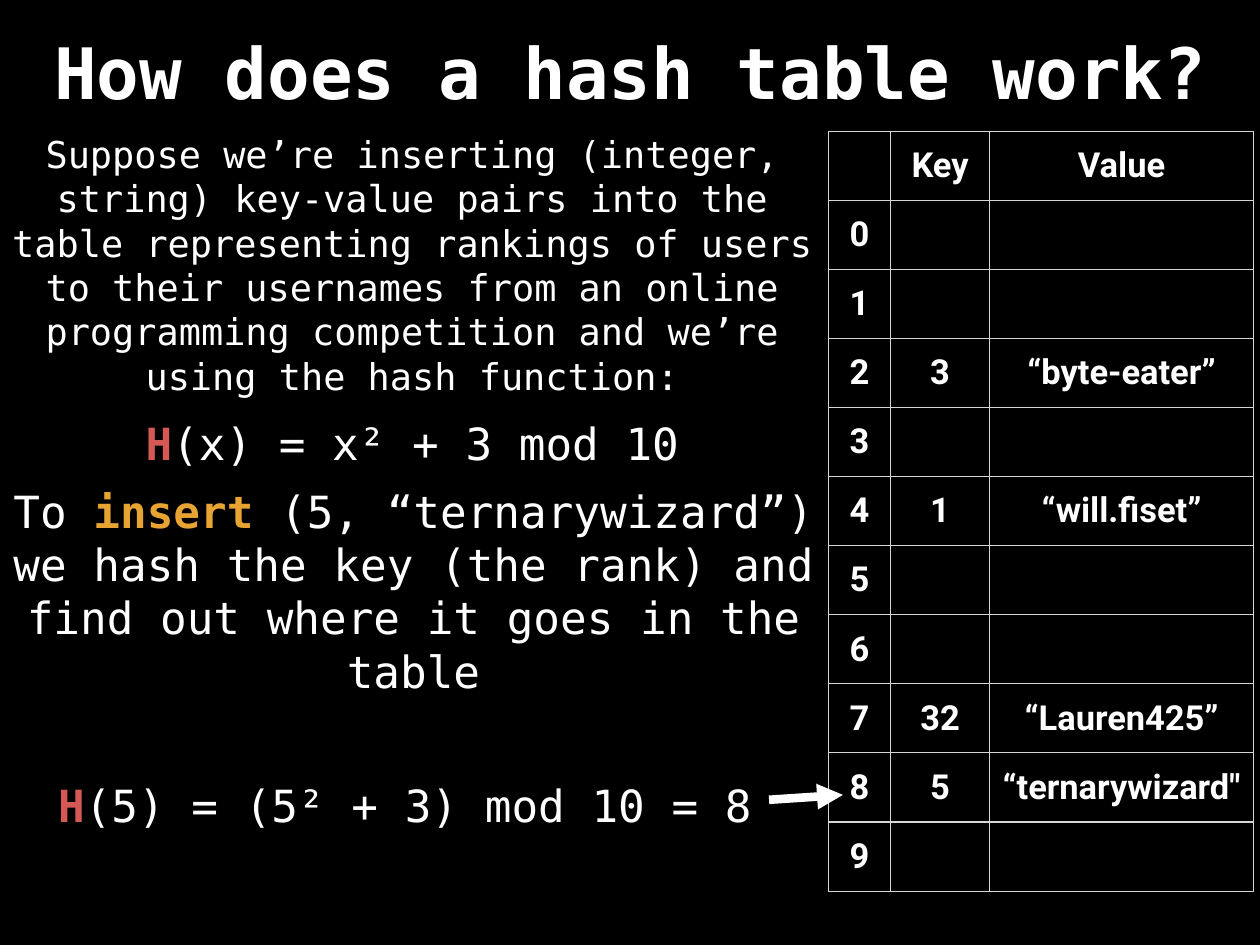
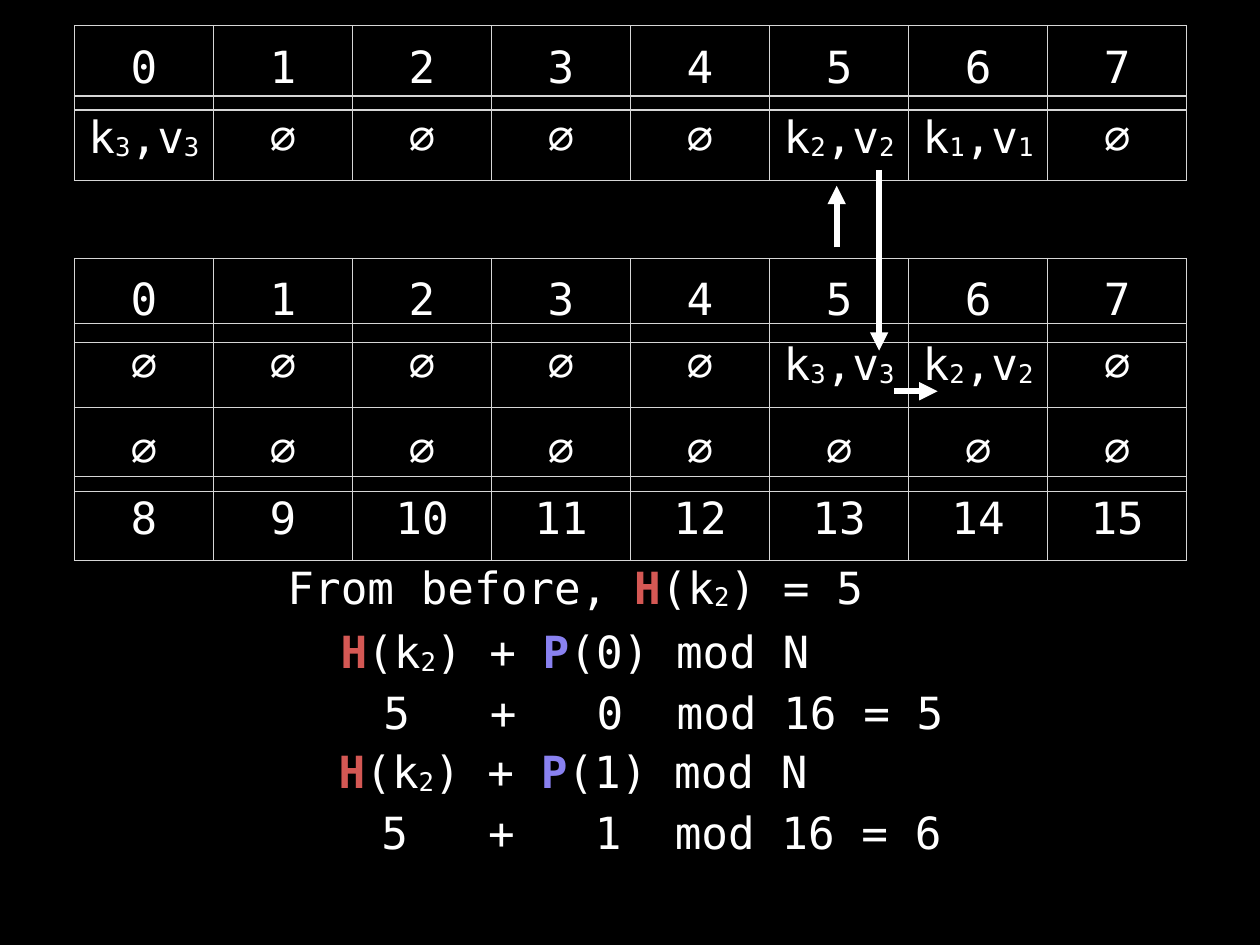
from lxml.etree import SubElement
from pptx import Presentation
from pptx.dml.color import RGBColor
from pptx.enum.shapes import MSO_CONNECTOR as Link
from pptx.enum.text import MSO_ANCHOR as Anchor, PP_ALIGN as Align
from pptx.oxml import parse_xml
from pptx.oxml.ns import nsdecls, qn
from pptx.util import Pt

MONO, SANS = "DejaVu Sans Mono", "Roboto"
BLACK, WHITE, GRID = "000000", "FFFFFF", "D6D6D6"
RED, GOLD, VIOLET = "D45854", "E8A432", "8981F0"
INSET = Pt(4)
SIZE = 36
LINE = 49  # height of a one-line box
CHAR = 21.67  # advance of one mono letter at SIZE
HASH, PROBE = ("H", RED), ("P", VIOLET)
NIL = "∅"


def paint(color, value):
    color.rgb = RGBColor.from_string(value)


def sub(text):
    return text, "sub"


def pair(index):
    return ["k", sub(index), ",v", sub(index)]


def write(par, parts, size=SIZE, face=MONO, bold=False, align=Align.CENTER):
    """Fill a paragraph; a part is text or (text, accent colour or "sub")."""
    par.alignment = align
    font = par.font
    font.size, font.name, font.bold = Pt(size), face, bold
    paint(font.color, WHITE)
    for part in [parts] if isinstance(parts, str) else parts:
        text, mark = (part, None) if isinstance(part, str) else part
        run = par.add_run()
        run.text = text
        if mark == "sub":
            run.font._element.set("baseline", "-6000")
        elif mark:
            run.font.bold = True
            paint(run.font.color, mark)


def label(slide, box, parts, wrap=False, stops=(), anchor=Anchor.MIDDLE, **style):
    frame = slide.shapes.add_textbox(*map(Pt, box)).text_frame
    frame.margin_left = frame.margin_right = INSET
    frame.margin_top = frame.margin_bottom = INSET
    frame.word_wrap, frame.vertical_anchor = wrap, anchor
    par = frame.paragraphs[0]
    if stops:
        tabs = SubElement(par._p.get_or_add_pPr(), qn("a:tabLst"))
        for stop in stops:
            SubElement(tabs, qn("a:tab"), pos=str(Pt(stop)), algn="l")
    write(par, parts, **style)


def arrow(slide, *ends, width=5):
    link = slide.shapes.add_connector(Link.STRAIGHT, *map(Pt, ends))
    link.line.width = Pt(width)
    paint(link.line.color, WHITE)
    SubElement(link.line._get_or_add_ln(), qn("a:tailEnd"), type="triangle")
    SubElement(link._element.spPr, qn("a:effectLst"))


def border(cell):
    props = cell._tc.get_or_add_tcPr()
    for spot, side in enumerate("LRTB"):
        props.insert(spot, parse_xml(
            f'<a:ln{side} {nsdecls("a")} w="{Pt(1)}"><a:solidFill>'
            f'<a:srgbClr val="{GRID}"/></a:solidFill></a:ln{side}>'))


def grid(slide, left, top, widths, height, rows, **style):
    box = map(Pt, (left, top, sum(widths), height * len(rows)))
    table = slide.shapes.add_table(len(rows), len(widths), *box).table
    table.first_row = table.horz_banding = False
    for col, width in zip(table.columns, widths):
        col.width = Pt(width)
    for line, row in zip(table.rows, rows):
        line.height = Pt(height)
        for cell, parts in zip(line.cells, row):
            cell.fill.background()
            border(cell)
            cell.margin_left = cell.margin_right = INSET
            cell.margin_top = cell.margin_bottom = INSET
            cell.vertical_anchor = Anchor.MIDDLE
            if parts:
                write(cell.text_frame.paragraphs[0], parts, **style)


def ranks(slide, left, top):
    """Table of ten hash slots with their keys and user names."""
    users = {2: ("3", "“byte-eater”"), 4: ("1", "“will.fiset”"),
             7: ("32", "“Lauren425”"), 8: ("5", "“ternarywizard\"")}
    rows = [("", "Key", "Value")]
    rows += [(str(slot), *users.get(slot, ("", ""))) for slot in range(10)]
    grid(slide, left, top, (51, 80, 215), 56.16, rows,
         size=28, face=SANS, bold=True)


def story(slide, left, top, width):
    """Column of text that explains the insertion."""
    label(slide, (left, top, width, 218),
          "Suppose we’re inserting (integer, string) key-value pairs into the "
          "table representing rankings of users to their usernames from an "
          "online programming competition and we’re using the hash function:",
          wrap=True, size=30)
    label(slide, (left, top + 229, width, LINE), [HASH, "(x) = x² + 3 mod 10"])
    label(slide, (left - 6, top + 288, width + 14, 172),
          ["To ", ("insert", GOLD), " (5, “ternarywizard”) we hash the key "
           "(the rank) and find out where it goes in the table"], wrap=True)
    label(slide, (left, top + 523.5, width - 12, LINE),
          [HASH, "(5) = (5² + 3) mod 10 = 8"])


def strip(slide, left, top, cells):
    grid(slide, left, top, [113] * 8, 68.4, [cells])


def slots(slide, left, top):
    """Old table above, the doubled table below, and the moves between."""
    def count(start):
        return [str(n) for n in range(start, start + 8)]

    strip(slide, left, top + 57, [pair("3"), *[NIL] * 4, pair("2"), pair("1"), NIL])
    strip(slide, left, top, count(0))
    strip(slide, left, top + 242, [*[NIL] * 5, pair("3"), pair("2"), NIL])
    strip(slide, left, top + 310.4, [NIL] * 8)
    strip(slide, left, top + 189, count(0))
    strip(slide, left, top + 366.5, count(8))
    for ends in ((619.5, 180, 619.5, 130), (654, 117, 654, 264), (666, 297, 701.5, 297)):
        x1, y1, x2, y2 = ends
        arrow(slide, left + x1, top + y1, left + x2, top + y2)


def probes(slide, left, top):
    """Worked sums for the first two probes."""
    label(slide, (left, top, 479, LINE),
          ["From before, ", HASH, "(k", sub("2"), ") = 5"])
    for step in range(2):
        x, y = left + 43.5 - 1.5 * step, top + 52.5 + 97.5 * step
        label(slide, (x, y, 391.5, LINE),
              [HASH, "(k", sub("2"), ") + ", PROBE, f"({step}) mod N"])
        label(slide, (x + 36, y + 48.5, 480, LINE),
              f"5\t+\t{step}\tmod 16 = {5 + step}", wrap=True,
              stops=[CHAR * n for n in (4, 8, 11)],
              anchor=Anchor.TOP, align=Align.LEFT)


def page(deck):
    slide = deck.slides.add_slide(deck.slide_layouts[6])
    fill = slide.background.fill
    fill.solid()
    paint(fill.fore_color, BLACK)
    return slide


def main():
    deck = Presentation()
    deck.slide_width, deck.slide_height = Pt(1024), Pt(768)

    intro = page(deck)
    ranks(intro, 673, 106.5)
    story(intro, 4.5, 106, 661)
    arrow(intro, 625, 650, 685, 646, width=7)
    label(intro, (34.5, 11.5, 955.5, 92), "How does a hash table work?",
          wrap=True, size=57.6, bold=True)

    resize = page(deck)
    slots(resize, 60.5, 21)
    probes(resize, 228, 452)

    deck.save("out.pptx")


if __name__ == "__main__":
    main()
